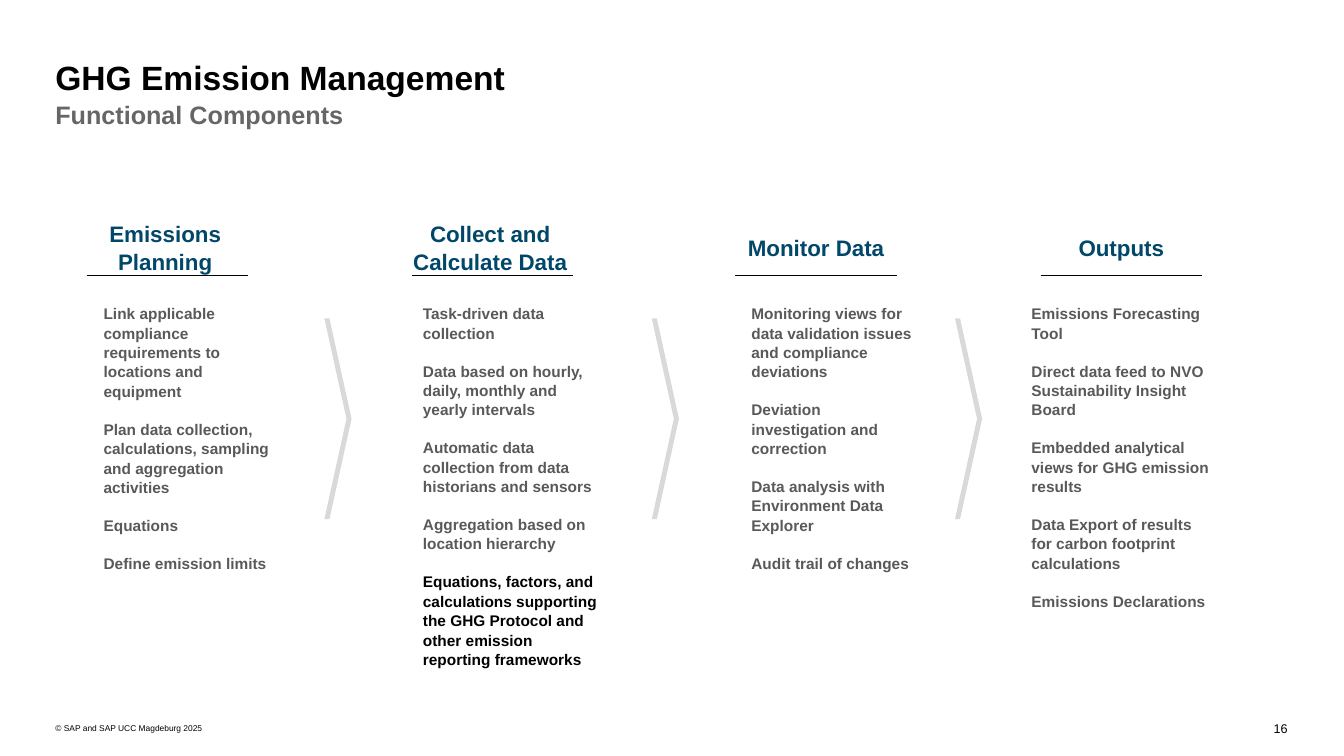
from pptx import Presentation
from pptx.dml.color import RGBColor
from pptx.enum.shapes import MSO_CONNECTOR, MSO_SHAPE
from pptx.enum.text import MSO_ANCHOR, PP_ALIGN
from pptx.oxml.ns import qn
from pptx.util import Inches, Pt
from lxml import etree

BLACK = RGBColor(0x00, 0x00, 0x00)
GREY = RGBColor(0x66, 0x66, 0x66)
BODY_GREY = RGBColor(0x59, 0x59, 0x59)
CHEVRON_GREY = RGBColor(0xD9, 0xD9, 0xD9)
NAVY = RGBColor(0x00, 0x47, 0x6A)
LEFT, CENTER, RIGHT = PP_ALIGN.LEFT, PP_ALIGN.CENTER, PP_ALIGN.RIGHT
TOP, MIDDLE = MSO_ANCHOR.TOP, MSO_ANCHOR.MIDDLE

prs = Presentation()
prs.slide_width, prs.slide_height = Inches(13.34), Inches(7.5)
slide = prs.slides.add_slide(prs.slide_layouts[6])


def place(*shares):
    """Turn percentages of slide width and height, in turn, into lengths."""
    sizes = (prs.slide_width, prs.slide_height) * 2
    return [int(size * share / 100) for size, share in zip(sizes, shares)]


def add_text(box, lines, align=LEFT, anchor=TOP, inset=(0, 0), gap=0, spacing=1.05):
    """Write lines of (text, size, colour, bold) into a box."""
    frame = slide.shapes.add_textbox(*place(*box)).text_frame
    side, edge = inset
    layout = {"word_wrap": True, "vertical_anchor": anchor,
              "margin_left": Inches(side), "margin_right": Inches(side),
              "margin_top": Inches(edge), "margin_bottom": Inches(edge)}
    for name, value in layout.items():
        setattr(frame, name, value)
    for i, (text, size, color, bold) in enumerate(lines):
        paragraph = frame.add_paragraph() if i else frame.paragraphs[0]
        paragraph.text = text
        paragraph.alignment = align
        paragraph.line_spacing = spacing
        if i and gap:
            paragraph.space_before = Pt(gap)
        for name, value in {"name": "Arial", "size": Pt(size), "bold": bold}.items():
            setattr(paragraph.font, name, value)
        paragraph.font.color.rgb = color


# Title and subtitle
MARGIN = 4.12
add_text((MARGIN, 7.33, 91.68, 9.47),
         [("GHG Emission Management", 24, BLACK, True),
          ("Functional Components", 18, GREY, True)])

# Components: heading, heading centre, rule left, body left, body width, items
components = [
    ("Emissions Planning", 12.29, 6.45, 6.97, 14.47, [
        "Link applicable compliance requirements to locations and equipment",
        "Plan data collection, calculations, sampling and aggregation activities",
        "Equations",
        "Define emission limits"]),
    ("Collect and Calculate Data", 36.47, 30.66, 30.73, 14.47, [
        "Task-driven data collection",
        "Data based on hourly, daily, monthly and yearly intervals",
        "Automatic data collection from data historians and sensors",
        "Aggregation based on location hierarchy",
        "Equations, factors, and calculations supporting the GHG Protocol "
        "and other emission reporting frameworks"]),
    ("Monitor Data", 60.72, 54.72, 55.17, 14.02, [
        "Monitoring views for data validation issues and compliance deviations",
        "Deviation investigation and correction",
        "Data analysis with Environment Data Explorer",
        "Audit trail of changes"]),
    ("Outputs", 83.43, 77.44, 76.01, 14.84, [
        "Emissions Forecasting Tool",
        "Direct data feed to NVO Sustainability Insight Board",
        "Embedded analytical views for GHG emission results",
        "Data Export of results for carbon footprint calculations",
        "Emissions Declarations"]),
]
HEADING_WIDTH, RULE_WIDTH, RULE_TOP = 15, 12, 36.4
ITEM_SIZE, ITEM_GAP = 11, 13.25
INSET = (0.1, 0.05)
HIGHLIGHT = "Equations, factors"

for heading, center, rule_left, body_left, body_width, items in components:
    add_text((center - HEADING_WIDTH / 2, 28.4, HEADING_WIDTH, 8.53),
             [(heading, 16, NAVY, True)], CENTER, MIDDLE, INSET)

    rule = slide.shapes.add_connector(
        MSO_CONNECTOR.STRAIGHT,
        *place(rule_left, RULE_TOP, rule_left + RULE_WIDTH, RULE_TOP))
    rule.line.color.rgb = BLACK
    rule.line.width = Pt(0.5)
    etree.SubElement(rule.element.spPr, qn("a:effectLst"))

    lines = [(item, ITEM_SIZE, BLACK if item.startswith(HIGHLIGHT) else BODY_GREY, True)
             for item in items]
    add_text((body_left, 39.47, body_width, 50.67), lines, inset=INSET, gap=ITEM_GAP)

# Chevrons between the components
for chevron_left in (24.14, 48.5, 71.06):
    chevron = slide.shapes.add_shape(
        MSO_SHAPE.CHEVRON, *place(chevron_left, 42.13, 2.02, 26.53))
    chevron.adjustments[0] = 0.814
    chevron.shadow.inherit = False
    chevron.fill.solid()
    chevron.fill.fore_color.rgb = CHEVRON_GREY
    chevron.line.fill.background()

# Footer and page number
add_text((MARGIN, 95.33, 83.28, 2),
         [("© SAP and SAP UCC Magdeburg 2025", 6, BLACK, False)], anchor=MIDDLE, spacing=1.0)
add_text((92.8, 95.33, 3, 2), [("16", 9, BLACK, False)], RIGHT, spacing=1.0)

prs.save("out.pptx")
